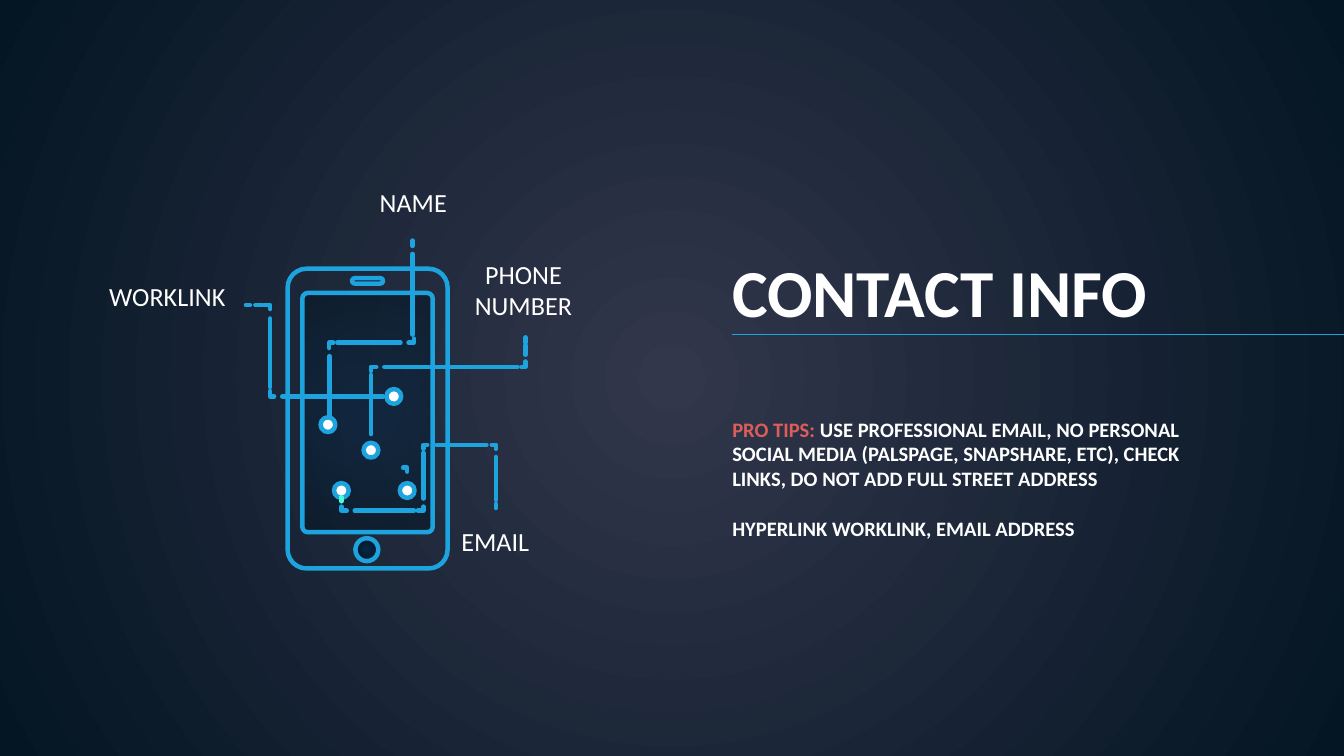
import dataclasses

import pptx
import pptx.dml.color
import pptx.enum.shapes
import pptx.enum.text
import pptx.oxml.ns
import pptx.util
from lxml import etree

Inches = pptx.util.Inches
Pt = pptx.util.Pt
qn = pptx.oxml.ns.qn
SHAPE = pptx.enum.shapes.MSO_SHAPE
ANCHOR = pptx.enum.text.MSO_ANCHOR
ALIGN = pptx.enum.text.PP_ALIGN


@dataclasses.dataclass(frozen=True)
class Theme:
    font: str = "Calibri"
    white: str = "FFFFFF"
    blue: str = "1DA3DD"
    mint: str = "48FFD5"
    red: str = "DC5D59"
    speaker: str = "161234"
    backdrop: tuple = ("32374C", "041523")
    glass: tuple = ("052643", "041523")
    title_size: float = 36
    label_size: float = 14
    tip_size: float = 11
    rule_width: float = 0.75
    stroke_width: float = 2.4


THEME = Theme()

# Dashes of each trace, from its label to its dot; three points make a corner
TRACES = {
    "name": [
        [(3.07, 1.79), (3.07, 1.83)],
        [(3.07, 1.89), (3.07, 2.49)],
        [(3.08, 2.52), (3.08, 2.55), (3.04, 2.55)],
        [(2.98, 2.55), (2.51, 2.55)],
        [(2.48, 2.55), (2.45, 2.55), (2.45, 2.59)],
        [(2.45, 2.65), (2.45, 3.09)],
    ],
    "phone number": [
        [(3.91, 2.51), (3.91, 2.55)],
        [(3.91, 2.57), (3.91, 2.64)],
        [(3.91, 2.69), (3.91, 2.73), (3.88, 2.73)],
        [(3.85, 2.73), (2.86, 2.73)],
        [(2.8, 2.73), (2.76, 2.73), (2.76, 2.76)],
        [(2.76, 2.79), (2.76, 3.23)],
    ],
    "profile": [
        [(1.83, 2.27), (1.86, 2.27)],
        [(1.9, 2.27), (1.95, 2.27)],
        [(1.97, 2.27), (2.01, 2.27), (2.01, 2.3)],
        [(2.01, 2.37), (2.01, 2.88)],
        [(2.01, 2.91), (2.01, 2.95), (2.04, 2.95)],
        [(2.1, 2.95), (2.85, 2.95)],
    ],
    "email": [
        [(3.69, 3.78), (3.69, 3.75)],
        [(3.69, 3.72), (3.69, 3.4)],
        [(3.69, 3.34), (3.69, 3.31), (3.66, 3.31)],
        [(3.62, 3.31), (3.25, 3.31)],
        [(3.18, 3.31), (3.15, 3.31), (3.15, 3.34)],
        [(3.15, 3.37), (3.15, 3.71)],
        [(3.15, 3.77), (3.15, 3.8), (3.11, 3.8)],
        [(3.08, 3.8), (2.64, 3.8)],
        [(2.58, 3.8), (2.54, 3.8), (2.54, 3.77)],
    ],
    "loose end": [[(3, 3.48), (3.03, 3.48), (3.03, 3.51)]],
}
DOTS = [(2.54, 3.65), (2.93, 2.95), (3.03, 3.65), (2.76, 3.35), (2.44, 3.16)]
LABELS = [
    ("NAME", 2.58, 1.29, 0.99),
    ("PHONE NUMBER", 3.4, 1.82, 0.99),
    ("EMAIL", 3.19, 3.81, 0.99),
    ("WORKLINK", 0.69, 1.99, 1.11),
]


def rgb(color):
    return pptx.dml.color.RGBColor.from_string(color)


def radial_fill(fill, element, colors, alpha=None):
    """Fill from the centre outwards; element is the XML that holds the fill."""
    fill.gradient()
    for stop, color in zip(fill.gradient_stops, colors):
        stop.color.rgb = rgb(color)
    gradient = element.find(".//" + qn("a:gradFill"))
    for linear in gradient.findall(qn("a:lin")):
        gradient.remove(linear)
    circle = etree.SubElement(gradient, qn("a:path"), path="circle")
    etree.SubElement(circle, qn("a:fillToRect"), l="50000", t="50000", r="50000", b="50000")
    if alpha is not None:
        for color in gradient.iter(qn("a:srgbClr")):
            etree.SubElement(color, qn("a:alpha"), val=str(alpha * 1000))


def stroke(shape, color=THEME.blue):
    """Give a shape or connector the rounded circuit line."""
    shape.line.color.rgb = rgb(color)
    shape.line.width = Pt(THEME.stroke_width)
    line = shape.element.spPr.find(qn("a:ln"))
    line.set("cap", "rnd")
    etree.SubElement(line, qn("a:round"))


def add_outline(page, preset, left, top, width, height, radius=None):
    shape = page.shapes.add_shape(preset, Inches(left), Inches(top), Inches(width), Inches(height))
    shape.shadow.inherit = False
    shape.fill.background()
    stroke(shape)
    if radius is not None:
        shape.adjustments[0] = radius / min(width, height)
    return shape


def add_circle(page, center, diameter):
    x, y = center
    return add_outline(page, SHAPE.OVAL, x - diameter / 2, y - diameter / 2, diameter, diameter)


def add_line(page, start, end):
    line = page.shapes.add_connector(
        pptx.enum.shapes.MSO_CONNECTOR.STRAIGHT, *(Inches(value) for value in (*start, *end))
    )
    etree.SubElement(line.element.spPr, qn("a:effectLst"))
    return line


def add_dash(page, points, color=THEME.blue):
    if len(points) == 2:
        stroke(add_line(page, *points), color)
        return
    start, *rest = [(Inches(x), Inches(y)) for x, y in points]
    builder = page.shapes.build_freeform(*start)
    builder.add_line_segments(rest, close=False)
    corner = builder.convert_to_shape()
    corner.shadow.inherit = False
    corner.fill.background()
    stroke(corner, color)


def add_text(page, paragraphs, left, top, width, height, size, bold=False,
             align=ALIGN.LEFT, anchor=ANCHOR.TOP, gap=0):
    """Each paragraph is a list of (text, color) spans."""
    box = page.shapes.add_textbox(Inches(left), Inches(top), Inches(width), Inches(height))
    frame = box.text_frame
    frame.word_wrap = True
    frame.vertical_anchor = anchor
    frame.margin_left = frame.margin_right = Inches(0.1)
    frame.margin_top = frame.margin_bottom = Inches(0.1)
    for index, spans in enumerate(paragraphs):
        para = frame.add_paragraph() if index else frame.paragraphs[0]
        para.alignment = align
        if index:
            para.space_before = Pt(gap)
        para.font.name = THEME.font
        para.font.size = Pt(size)
        para.font.bold = bold
        for text, color in spans:
            span = para.add_run()
            span.text = text
            span.font.color.rgb = rgb(color)


def draw_phone(page):
    add_outline(page, SHAPE.ROUNDED_RECTANGLE, 2.14, 2, 1.19, 2.23, radius=0.14)
    screen = add_outline(page, SHAPE.ROUNDED_RECTANGLE, 2.25, 2.18, 0.97, 1.78, radius=0.04)
    radial_fill(screen.fill, screen.element, THEME.glass, alpha=53)
    button = add_circle(page, (2.73, 4.09), 0.17)
    radial_fill(button.fill, button.element, THEME.glass)
    speaker = add_outline(page, SHAPE.ROUNDED_RECTANGLE, 2.62, 2.07, 0.23, 0.04, radius=0.02)
    speaker.fill.solid()
    speaker.fill.fore_color.rgb = rgb(THEME.speaker)


def draw_circuit(page):
    for dashes in TRACES.values():
        for points in dashes:
            add_dash(page, points)
    for center in DOTS:
        dot = add_circle(page, center, 0.11)
        dot.fill.solid()
        dot.fill.fore_color.rgb = rgb(THEME.white)
    add_dash(page, [(2.54, 3.7), (2.54, 3.73)], THEME.mint)


def main():
    # Widescreen page, 16 to 9
    deck = pptx.Presentation()
    deck.slide_width = Inches(10)
    deck.slide_height = deck.slide_width * 9 // 16
    page = deck.slides.add_slide(deck.slide_layouts[6])
    radial_fill(page.background.fill, page.element, THEME.backdrop)

    # Heading, rule and tips
    add_text(page, [[("CONTACT INFO", THEME.white)]], 5.35, 1.9, 3.86, 0.66,
             THEME.title_size, bold=True, anchor=ANCHOR.BOTTOM)
    rule = add_line(page, (5.45, 2.49), (10, 2.49))
    rule.line.color.rgb = rgb(THEME.blue)
    rule.line.width = Pt(THEME.rule_width)
    tips = [
        [("PRO TIPS: ", THEME.red),
         ("USE PROFESSIONAL EMAIL, NO PERSONAL SOCIAL MEDIA (PALSPAGE, SNAPSHARE, ETC), "
          "CHECK LINKS, DO NOT ADD FULL STREET ADDRESS", THEME.white)],
        [("HYPERLINK WORKLINK, EMAIL ADDRESS", THEME.white)],
    ]
    add_text(page, tips, 5.35, 3, 3.78, 1.55, THEME.tip_size, bold=True, gap=13.4)

    # Phone with its labelled circuit
    draw_phone(page)
    draw_circuit(page)
    for text, left, top, width in LABELS:
        add_text(page, [[(text, THEME.white)]], left, top, width, 0.6,
                 THEME.label_size, align=ALIGN.CENTER)

    deck.save("out.pptx")


if __name__ == "__main__":
    main()
